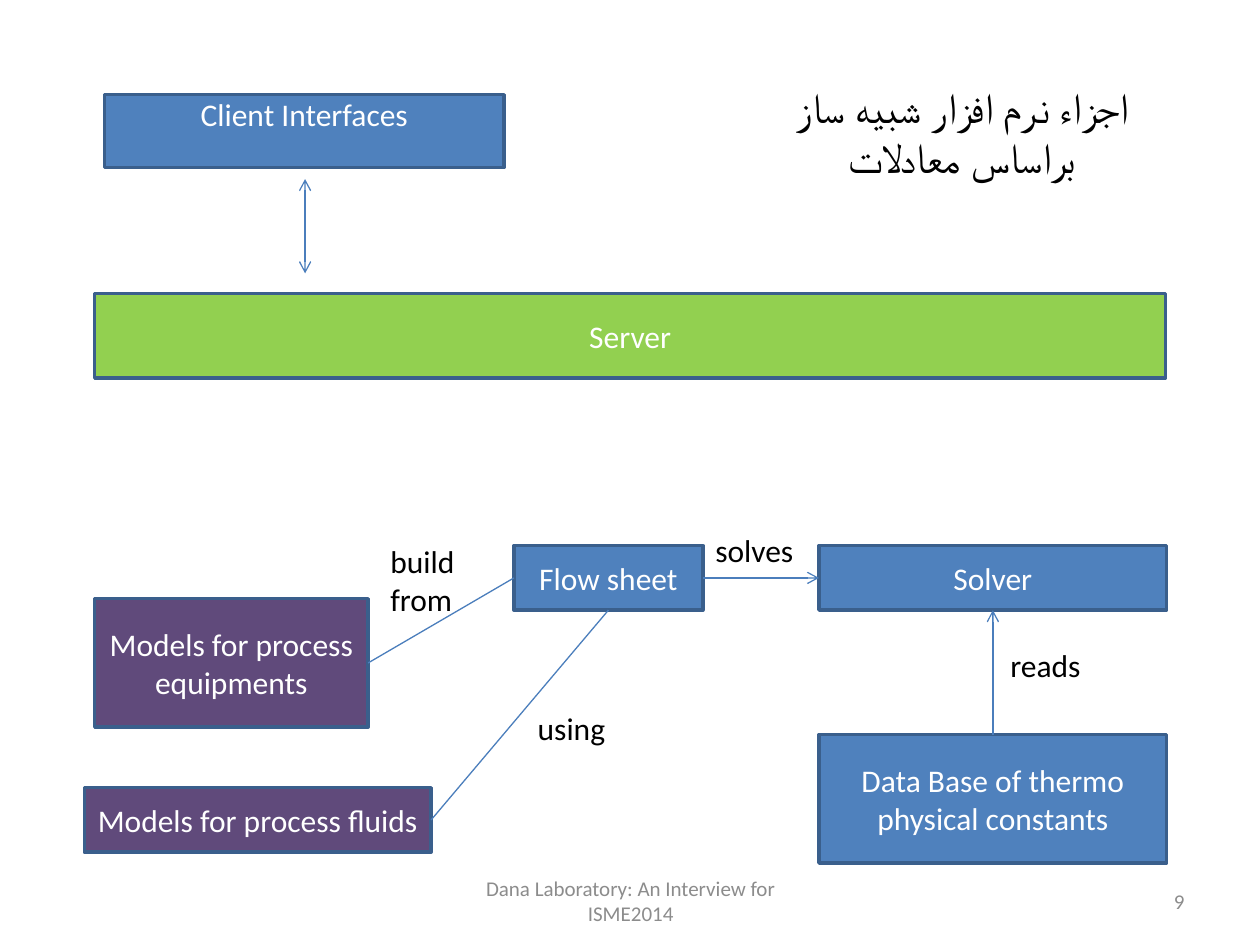
from dataclasses import dataclass
from typing import Optional

from lxml.etree import SubElement
from pptx import Presentation
from pptx.dml.color import RGBColor
from pptx.enum.shapes import MSO_CONNECTOR, MSO_SHAPE
from pptx.enum.text import MSO_ANCHOR, MSO_AUTO_SIZE, PP_ALIGN
from pptx.oxml.ns import qn
from pptx.util import Cm, Pt

TOP, LEFT, BOTTOM, RIGHT = range(4)


@dataclass(frozen=True)
class Theme:
    blue: str = "4F81BD"
    green: str = "92D050"
    purple: str = "604A7B"
    border: str = "3A5F8C"
    connector: str = "4B7EBC"
    white: str = "FFFFFF"
    black: str = "000000"
    grey: str = "8C8C8C"
    title_font: str = "Lato"
    body_font: str = "Calibri"
    title_size: int = 24
    body_size: int = 18
    footer_size: int = 12
    border_width: float = 2
    connector_width: float = 0.75


@dataclass(frozen=True)
class Area:
    left: float
    top: float
    width: float
    height: float

    def lengths(self) -> tuple:
        return tuple(Cm(n) for n in (self.left, self.top, self.width, self.height))


@dataclass(frozen=True)
class Component:
    text: str
    area: Area
    fill: str
    at_top: bool = False


@dataclass(frozen=True)
class Label:
    text: str
    area: Area


@dataclass(frozen=True)
class Footer:
    text: str
    area: Area
    align: PP_ALIGN


@dataclass(frozen=True)
class Relation:
    source: str
    source_side: int
    target: str
    target_side: int
    tail: Optional[str] = None


THEME = Theme()
TITLE = Label("اجزاء نرم افزار شبيه ساز براساس معادلات", Area(15.04, 1.07, 8.69, 3.18))

COMPONENTS = [
    Component("Client Interfaces", Area(2.11, 1.91, 8.05, 1.47), THEME.blue, at_top=True),
    Component("Server", Area(1.91, 5.92, 21.59, 1.7), THEME.green),
    Component("Solver", Area(16.51, 11, 7.01, 1.3), THEME.blue),
    Component("Flow sheet", Area(10.36, 11, 3.81, 1.3), THEME.blue),
    Component("Models for process equipments", Area(1.91, 12.07, 5.51, 2.59), THEME.purple),
    Component("Models for process fluids", Area(1.7, 15.88, 6.99, 1.3), THEME.purple),
    Component("Data Base of thermo physical constants", Area(16.51, 14.81, 7.01, 2.59), THEME.blue),
]
RELATIONS = [
    Relation("Flow sheet", RIGHT, "Solver", LEFT, "arrow"),
    Relation("Data Base of thermo physical constants", TOP, "Solver", BOTTOM, "arrow"),
    Relation("Models for process equipments", RIGHT, "Flow sheet", LEFT),
    Relation("Models for process fluids", RIGHT, "Flow sheet", BOTTOM),
]
LABELS = [
    Label("solves", Area(14.17, 10.59, 2.11, 1.02)),
    Label("build\nfrom", Area(7.62, 10.8, 1.83, 1.8)),
    Label("using", Area(10.59, 14.17, 1.88, 1.02)),
    Label("reads", Area(20.12, 12.9, 1.93, 1.02)),
]
FOOTERS = [
    Footer("Dana Laboratory: An Interview for ISME2014", Area(8.69, 17.65, 8.05, 1.02), PP_ALIGN.CENTER),
    Footer("9", Area(18.21, 17.65, 5.92, 1.02), PP_ALIGN.RIGHT),
]


def write(frame, text: str, font: str, size: int, color: str, align: PP_ALIGN) -> None:
    """Fill a text frame and format all its runs alike."""
    frame.text = text
    for para in frame.paragraphs:
        para.alignment = align
        for span in para.runs:
            span.font.name = font
            span.font.size = Pt(size)
            span.font.color.rgb = RGBColor.from_string(color)


def draw_title(page) -> None:
    """Place the right-to-left title in its placeholder."""
    box = page.shapes.title
    box.left, box.top, box.width, box.height = TITLE.area.lengths()
    frame = box.text_frame
    frame.vertical_anchor = MSO_ANCHOR.MIDDLE
    write(frame, TITLE.text, THEME.title_font, THEME.title_size, THEME.black, PP_ALIGN.CENTER)
    for para in frame.paragraphs:
        para._p.get_or_add_pPr().set("rtl", "1")
        for span in para.runs:
            SubElement(span.font._element, qn("a:cs"), typeface=THEME.title_font)


def draw_component(page, component: Component):
    """Draw one filled box with its name."""
    box = page.shapes.add_shape(MSO_SHAPE.RECTANGLE, *component.area.lengths())
    box.shadow.inherit = False
    box.fill.solid()
    box.fill.fore_color.rgb = RGBColor.from_string(component.fill)
    box.line.color.rgb = RGBColor.from_string(THEME.border)
    box.line.width = Pt(THEME.border_width)
    frame = box.text_frame
    frame.word_wrap = True
    frame.vertical_anchor = MSO_ANCHOR.MIDDLE
    if component.at_top:
        frame.vertical_anchor = MSO_ANCHOR.TOP
        frame.margin_top = 0
    write(frame, component.text, THEME.body_font, THEME.body_size, THEME.white, PP_ALIGN.CENTER)
    return box


def draw_line(page, start: tuple, end: tuple, head: Optional[str] = None, tail: Optional[str] = None):
    """Draw a thin straight connector with optional arrowheads."""
    points = [Cm(n) for n in (*start, *end)]
    line = page.shapes.add_connector(MSO_CONNECTOR.STRAIGHT, *points)
    line.line.color.rgb = RGBColor.from_string(THEME.connector)
    line.line.width = Pt(THEME.connector_width)
    outline = line.line._get_or_add_ln()
    for tag, kind in (("a:headEnd", head), ("a:tailEnd", tail)):
        if kind:
            SubElement(outline, qn(tag), type=kind)
    SubElement(line._element.spPr, qn("a:effectLst"))
    return line


def draw_relation(page, relation: Relation, boxes: dict) -> None:
    """Join the sides of two boxes."""
    line = draw_line(page, (0, 0), (1, 1), tail=relation.tail)
    line.begin_connect(boxes[relation.source], relation.source_side)
    line.end_connect(boxes[relation.target], relation.target_side)


def draw_label(page, label: Label) -> None:
    """Write the name of a relation."""
    frame = page.shapes.add_textbox(*label.area.lengths()).text_frame
    frame.word_wrap = False
    frame.auto_size = MSO_AUTO_SIZE.SHAPE_TO_FIT_TEXT
    write(frame, label.text, THEME.body_font, THEME.body_size, THEME.black, PP_ALIGN.LEFT)


def draw_footer(page, footer: Footer) -> None:
    """Write one grey text at the foot of the page."""
    frame = page.shapes.add_textbox(*footer.area.lengths()).text_frame
    frame.word_wrap = True
    frame.vertical_anchor = MSO_ANCHOR.MIDDLE
    write(frame, footer.text, THEME.body_font, THEME.footer_size, THEME.grey, footer.align)


def main() -> None:
    """Build the deck and save it."""
    deck = Presentation()
    deck.slide_width, deck.slide_height = Cm(25.4), Cm(19.05)
    page = deck.slides.add_slide(deck.slide_layouts[5])
    draw_title(page)
    for footer in FOOTERS:
        draw_footer(page, footer)
    boxes = {component.text: draw_component(page, component) for component in COMPONENTS}
    draw_line(page, (6.15, 3.61), (6.15, 5.51), head="arrow", tail="arrow")
    for relation in RELATIONS:
        draw_relation(page, relation, boxes)
    for label in LABELS:
        draw_label(page, label)
    deck.save("out.pptx")


if __name__ == "__main__":
    main()
